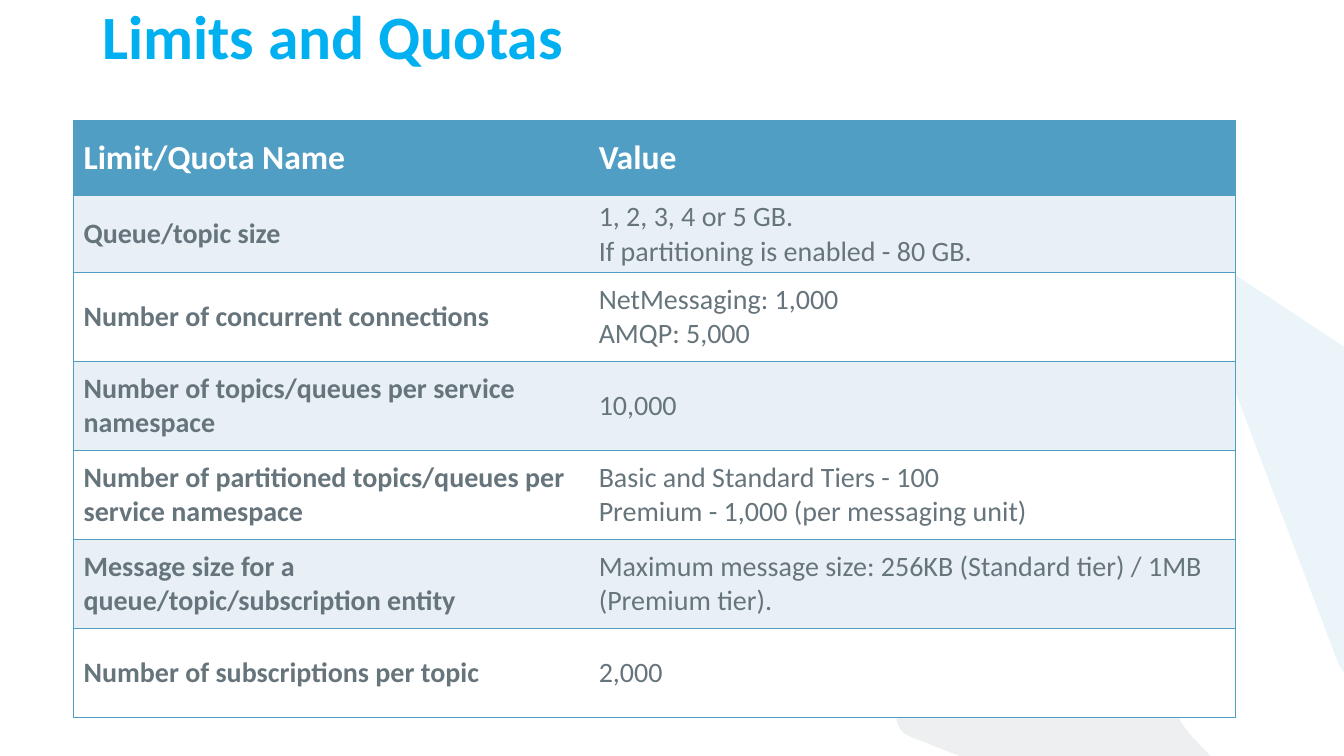
"""Build the Limits and Quotas slide."""
from dataclasses import dataclass

from lxml.etree import SubElement
from pptx import Presentation
from pptx.dml.color import RGBColor
from pptx.enum.text import MSO_ANCHOR
from pptx.oxml.ns import qn
from pptx.util import Pt

COLORS = {"title": "00B0F0", "blue": "509EC3", "gray": "66747C",
          "band": "E9F0F5", "white": "FFFFFF"}
COL_WIDTHS = (368, 462)
ROW_HEIGHTS = (53, 36) + (63.6,) * 5
SIDES = ("lnL", "lnR", "lnT", "lnB")


@dataclass
class Limit:
    name: str
    values: tuple[str, ...]


@dataclass
class Backdrop:
    color: str
    start: tuple[float, float]
    segments: tuple[tuple[float, ...], ...]


LIMITS = (
    Limit("Limit/Quota Name", ("Value",)),
    Limit("Queue/topic size",
          ("1, 2, 3, 4 or 5 GB.", "If partitioning is enabled - 80 GB.")),
    Limit("Number of concurrent connections",
          ("NetMessaging: 1,000", "AMQP: 5,000")),
    Limit("Number of topics/queues per service namespace", ("10,000",)),
    Limit("Number of partitioned topics/queues per service namespace",
          ("Basic and Standard Tiers - 100",
           "Premium - 1,000 (per messaging unit)")),
    Limit("Message size for a queue/topic/subscription entity",
          ("Maximum message size: 256KB (Standard tier) / 1MB (Premium tier).",)),
    Limit("Number of subscriptions per topic", ("2,000",)),
)

BACKDROPS = (
    Backdrop("blue", (854.6, 179.3), (
        (856.1, 179.3, 857.5, 180, 859.7, 181.4), (960, 247.7), (960, 480.2),
        (956.2, 474.5), (848.2, 189.4), (846, 184.3, 849.6, 179.3, 854.6, 179.3))),
    Backdrop("gray", (864, 285.8), (
        (866.9, 285.8, 868.3, 288, 867.6, 293), (839.5, 478.8),
        (836.6, 500.4, 838.1, 511.2, 851, 525.6), (864.7, 540), (685.4, 540),
        (648.7, 525.6), (639.4, 521.3, 637.2, 508.3, 645.1, 500.4),
        (856.1, 289.4), (858.2, 287.3, 860.4, 285.1, 864, 285.8))),
)


def rgb(name: str) -> RGBColor:
    return RGBColor.from_string(COLORS[name])


def outline(b: Backdrop, steps: int = 8) -> list[tuple[float, float]]:
    pts = [b.start]
    for seg in b.segments:
        if len(seg) == 2:
            pts.append(seg)
            continue
        ctrl = (pts[-1], seg[:2], seg[2:4], seg[4:])
        for i in range(1, steps + 1):
            t = i / steps
            weights = ((1 - t) ** 3, 3 * t * (1 - t) ** 2, 3 * t * t * (1 - t), t ** 3)
            pts.append(tuple(sum(w * c[k] for w, c in zip(weights, ctrl))
                             for k in (0, 1)))
    return pts


def add_backdrop(s, b: Backdrop) -> None:
    pts = [(Pt(x), Pt(y)) for x, y in outline(b)]
    fb = s.shapes.build_freeform(*pts[0])
    fb.add_line_segments(pts[1:], close=True)
    sp = fb.convert_to_shape()
    sp.shadow.inherit = False
    sp.line.fill.background()
    sp.fill.solid()
    sp.fill.fore_color.rgb = rgb(b.color)
    clr = sp.fill._xPr.find(".//" + qn("a:srgbClr"))
    SubElement(clr, qn("a:alpha"), val="11000")


def write(p, lines: tuple[str, ...], size: float, color: str, bold: bool) -> None:
    fmt = {"name": "Calibri", "size": Pt(size), "bold": bold}
    for i, line in enumerate(lines):
        if i:
            p.add_line_break()
        r = p.add_run()
        r.text = line
        for key, value in fmt.items():
            setattr(r.font, key, value)
        r.font.color.rgb = rgb(color)


def set_borders(cell, shown: tuple[str, ...]) -> None:
    tc_pr = cell._tc.get_or_add_tcPr()
    for i, side in enumerate(SIDES):
        ln = SubElement(tc_pr, qn(f"a:{side}"), w=str(Pt(1)))
        tc_pr.insert(i, ln)
        if side in shown:
            fill = SubElement(ln, qn("a:solidFill"))
            SubElement(fill, qn("a:srgbClr"), val=COLORS["blue"])
        else:
            SubElement(ln, qn("a:noFill"))


def add_title(s) -> None:
    tf = s.shapes.add_textbox(Pt(66), Pt(0), Pt(816), Pt(57)).text_frame
    tf.word_wrap = True
    tf.vertical_anchor = MSO_ANCHOR.MIDDLE
    p = tf.paragraphs[0]
    p.line_spacing = 0.9
    write(p, ("Limits and Quotas",), 44, "title", True)


def add_limits(s) -> None:
    tbl = s.shapes.add_table(len(LIMITS), 2, Pt(52.5), Pt(86.4),
                             Pt(sum(COL_WIDTHS)), Pt(sum(ROW_HEIGHTS))).table
    for col, width in zip(tbl.columns, COL_WIDTHS):
        col.width = Pt(width)
    for i, (limit, height) in enumerate(zip(LIMITS, ROW_HEIGHTS)):
        tbl.rows[i].height = Pt(height)
        head = i == 0
        back = "blue" if head else "band" if i % 2 else "white"
        for j, lines in enumerate(((limit.name,), limit.values)):
            cell = tbl.cell(i, j)
            cell.vertical_anchor = MSO_ANCHOR.MIDDLE
            cell.fill.solid()
            cell.fill.fore_color.rgb = rgb(back)
            set_borders(cell, (SIDES[j], "lnT", "lnB"))
            write(cell.text_frame.paragraphs[0], lines, 24 if head else 20,
                  "white" if head else "gray", head or j == 0)


def main() -> None:
    prs = Presentation()
    prs.slide_width, prs.slide_height = Pt(960), Pt(540)
    s = prs.slides.add_slide(prs.slide_layouts[6])
    for b in BACKDROPS:
        add_backdrop(s, b)
    add_title(s)
    add_limits(s)
    prs.save("out.pptx")


if __name__ == "__main__":
    main()
